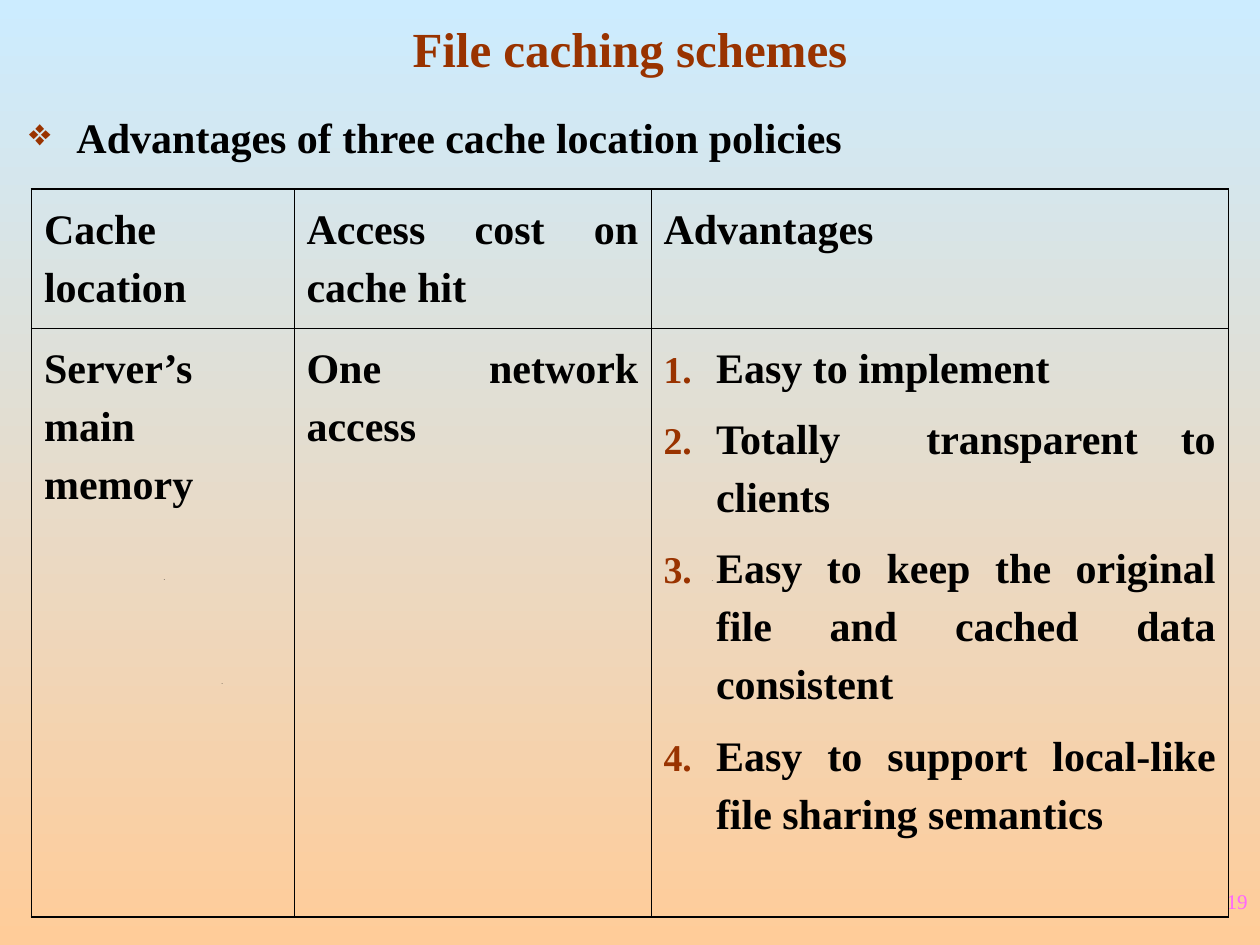
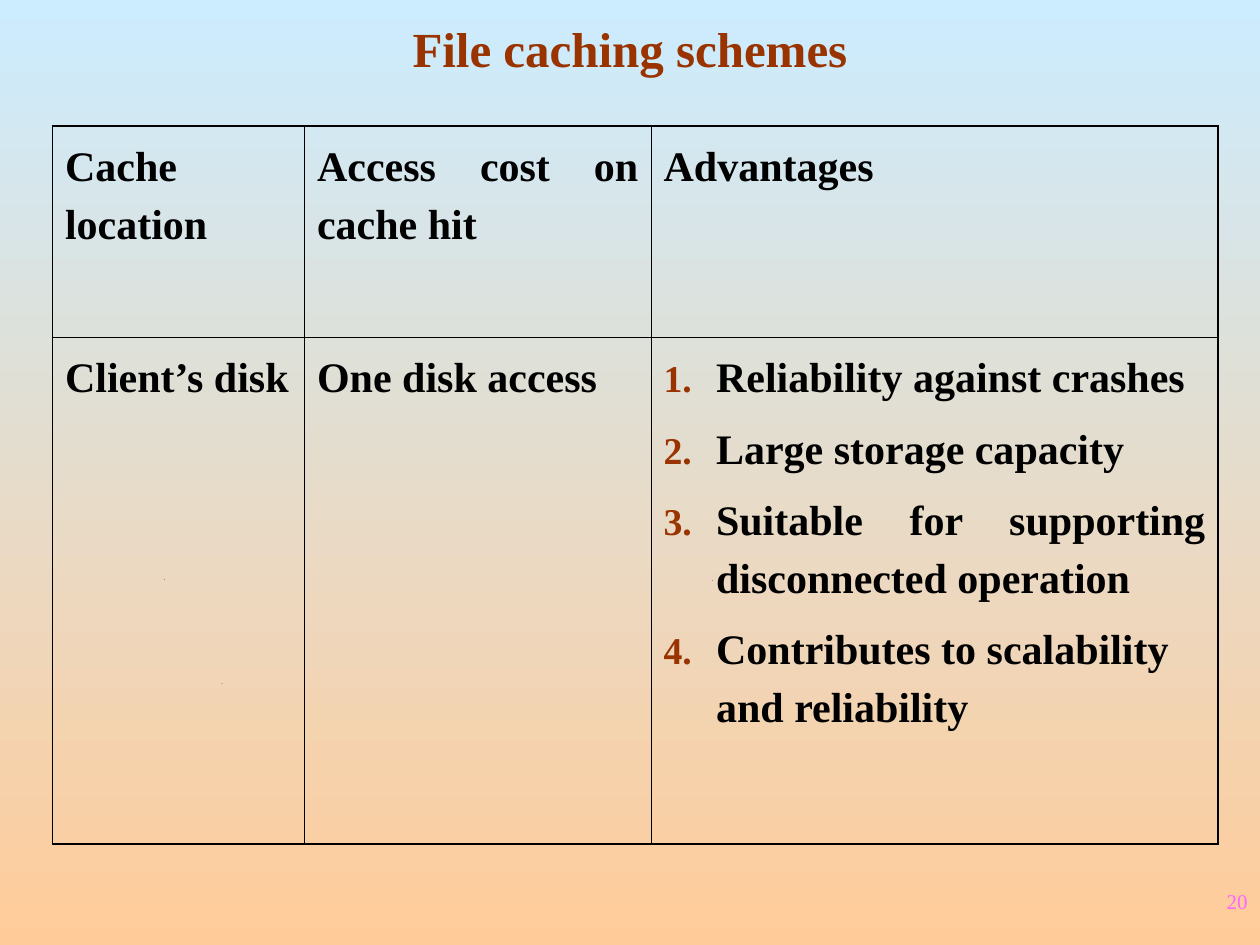
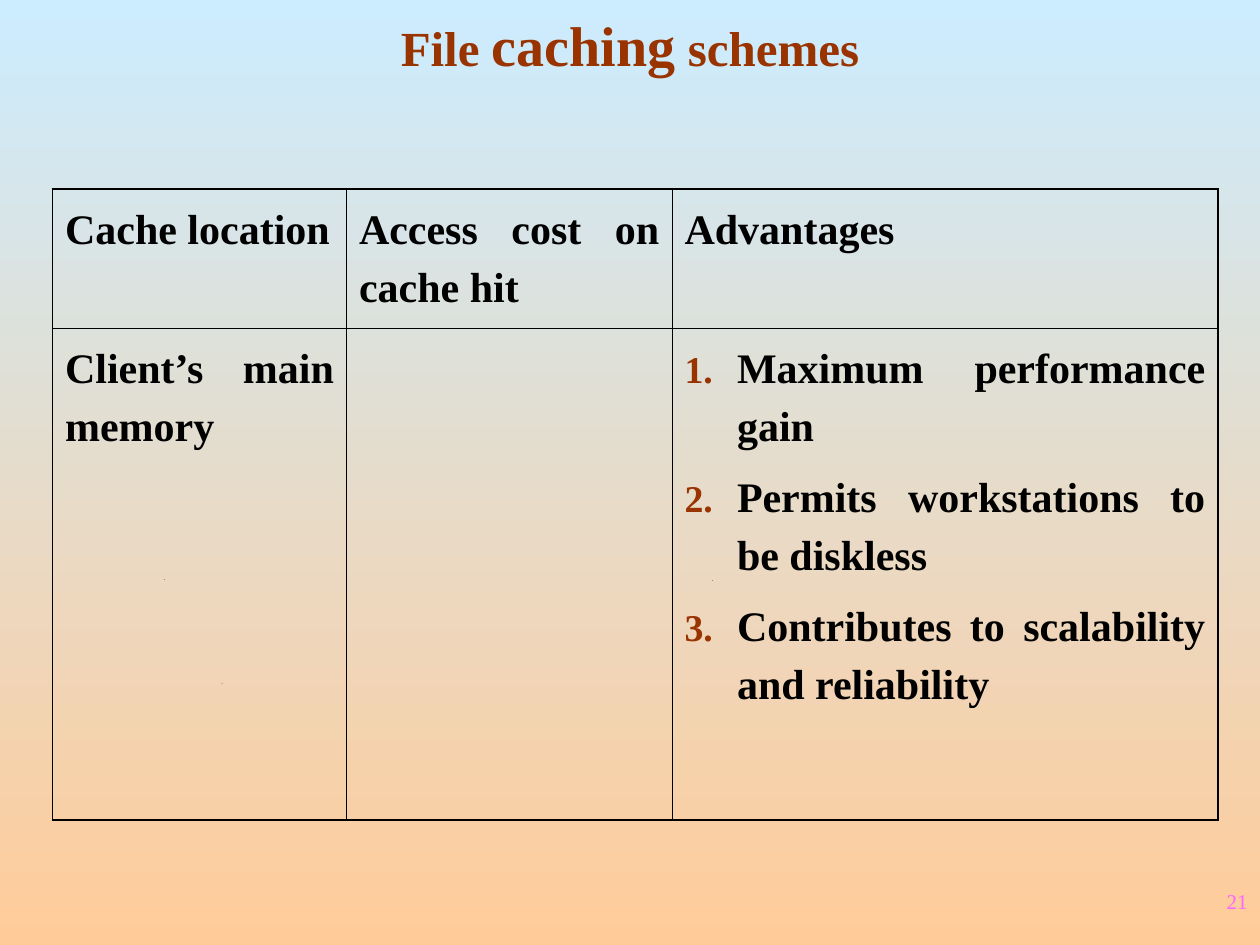
import lxml.etree
import pptx
import pptx.dml.color
import pptx.enum.text
import pptx.oxml.ns
import pptx.util

UNIT = pptx.util.Inches(1) // 12
COLUMNS, ROWS = 120, 90
FONT = "Times New Roman"
BLACK, RUST, PINK = "000000", "993300", "FF66FF"
SKY, PEACH = "CCECFF", "FFCC99"
OUTER, INNER = 1.08, 0.45
ALIGN = pptx.enum.text.PP_ALIGN
FIRST_NUMBER = 19
HEADINGS = ["Cache location", "Access cost on cache hit", "Advantages"]
SPECKS = [(21.1, 65.1), (15.6, 55.2), (67.8, 55.3)]


def grid(count):
    """Turn grid steps into a length."""
    return pptx.util.Emu(round(count * UNIT))


def color(value):
    """Turn a hex string into a colour."""
    return pptx.dml.color.RGBColor.from_string(value)


def add_element(parent, tag, **attributes):
    """Append a drawing element to a parent."""
    element = lxml.etree.SubElement(parent, pptx.oxml.ns.qn(tag))
    for name, value in attributes.items():
        element.set(name, str(value))
    return element


def set_bullet(para, indent, tag, **attributes):
    """Give a paragraph a hanging rust bullet or number."""
    properties = para._p.get_or_add_pPr()
    properties.set("marL", str(grid(indent)))
    properties.set("indent", str(-grid(indent)))
    add_element(add_element(properties, "a:buClr"), "a:srgbClr", val=RUST)
    add_element(properties, "a:buSzPct", val=90000)
    add_element(properties, tag, **attributes)


def set_font(para, size, hue, bold=True):
    """Set the font of a whole paragraph."""
    font = para.font
    font.name, font.size, font.bold = FONT, pptx.util.Pt(size), bold
    font.color.rgb = color(hue)


def set_body(para, align=ALIGN.JUSTIFY):
    """Style a paragraph as body text."""
    para.alignment = align
    para.line_spacing = 1.25
    set_font(para, 24, BLACK)


def add_box(page, left, top, width, height):
    """Add a wrapping text box and return its frame."""
    box = page.shapes.add_textbox(*map(grid, (left, top, width, height)))
    box.text_frame.word_wrap = True
    return box.text_frame


def add_background(page):
    """Paint the gradient and its small specks."""
    fill = page.background.fill
    fill.gradient()
    fill.gradient_angle = 270
    for stop, hue, position in zip(fill.gradient_stops, (SKY, PEACH), (0, 1)):
        stop.color.rgb = color(hue)
        stop.position = position
    for left, top in SPECKS:
        builder = page.shapes.build_freeform(grid(left), grid(top))
        builder.add_line_segments(
            [(grid(left + 0.1), grid(top - 0.05)), (grid(left + 0.05), grid(top))]
        )
        speck = builder.convert_to_shape()
        speck.shadow.inherit = False
        speck.fill.solid()
        speck.fill.fore_color.rgb = color(BLACK)
        speck.line.fill.background()


def add_title(page, spans):
    """Add the title from pairs of text and special size."""
    frame = add_box(page, 0, 0, COLUMNS, 8)
    frame.vertical_anchor = pptx.enum.text.MSO_ANCHOR.BOTTOM
    para = frame.paragraphs[0]
    para.alignment = ALIGN.CENTER
    set_font(para, 28, RUST)
    for text, size in spans:
        span = para.add_run()
        span.text = text
        if size:
            span.font.size = pptx.util.Pt(size)


def add_number(page, number):
    """Add the page number in the lower right corner."""
    para = add_box(page, COLUMNS - 5, ROWS - 6, 5, 3.6).paragraphs[0]
    para.text = str(number)
    para.alignment = ALIGN.RIGHT
    set_font(para, 12, PINK, bold=False)


def add_statement(page, text):
    """Add the bulleted line above a table."""
    para = add_box(page, 1.6, 8.8, 97, 10).paragraphs[0]
    para.text = text
    set_bullet(para, 4.5, "a:buChar", char="❖")
    set_body(para)


def set_borders(cell, sides):
    """Draw the four cell borders, heavier on the table's edge."""
    properties = cell._tc.get_or_add_tcPr()
    for side in "LRTB":
        width = pptx.util.Pt(OUTER if side in sides else INNER)
        line = add_element(properties, f"a:ln{side}", w=width)
        add_element(add_element(line, "a:solidFill"), "a:srgbClr", val=BLACK)
    cell.fill.background()


def fill_list(cell, items, last_align):
    """Write a numbered list into a cell."""
    frame = cell.text_frame
    for index, item in enumerate(items):
        para = frame.add_paragraph() if index else frame.paragraphs[0]
        para.text = item
        set_bullet(para, 5, "a:buAutoNum", type="arabicPeriod")
        set_body(para, last_align if index == len(items) - 1 else ALIGN.JUSTIFY)
        if index:
            para.space_before = pptx.util.Pt(7.5)


def add_policy_table(page, left, top, widths, heights, policy, advantages,
                     last_align=ALIGN.JUSTIFY):
    """Add a table of one policy's place, cost and advantages."""
    table = page.shapes.add_table(
        2, 3, grid(left), grid(top), grid(sum(widths)), grid(sum(heights))
    ).table
    table.first_row = table.horz_banding = False
    for column, width in zip(table.columns, widths):
        column.width = grid(width)
    for row, height in zip(table.rows, heights):
        row.height = grid(height)
    for row, texts in enumerate((HEADINGS, policy)):
        for column, text in enumerate(texts):
            para = table.cell(row, column).text_frame.paragraphs[0]
            para.text = text
            set_body(para)
    fill_list(table.cell(1, 2), advantages, last_align)
    for row in range(2):
        for column in range(3):
            set_borders(table.cell(row, column), "TB"[row] + ("L", "", "R")[column])


def main():
    """Build the three pages."""
    deck = pptx.Presentation()
    deck.slide_width, deck.slide_height = grid(COLUMNS), grid(ROWS)
    plain_title = [("File caching schemes", None)]
    titles = [plain_title, plain_title,
              [("File ", None), ("caching", 32), (" schemes", None)]]
    pages = []
    for number, title in enumerate(titles, FIRST_NUMBER):
        page = deck.slides.add_slide(deck.slide_layouts[6])
        add_background(page)
        add_number(page, number)
        add_title(page, title)
        pages.append(page)
    server, disk, client = pages

    add_statement(server, "Advantages of three cache location policies")
    add_policy_table(
        server, 3, 18, (25, 34, 55), (13.25, 56.1),
        ["Server’s main memory", "One network access"],
        ["Easy to implement",
         "Totally  transparent to clients",
         "Easy to keep the original file and cached data consistent",
         "Easy to support local-like file sharing semantics"],
    )
    add_policy_table(
        disk, 5, 12, (24, 33, 54), (20.15, 48.25),
        ["Client’s disk", "One disk access"],
        ["Reliability against crashes",
         "Large storage capacity",
         "Suitable for supporting disconnected operation",
         "Contributes to scalability and reliability"],
        ALIGN.LEFT,
    )
    add_policy_table(
        client, 5, 18, (28, 31, 52), (13.25, 46.85),
        ["Client’s main memory", ""],
        ["Maximum performance gain",
         "Permits workstations to be diskless",
         "Contributes to scalability and reliability"],
    )
    deck.save("out.pptx")


if __name__ == "__main__":
    main()
